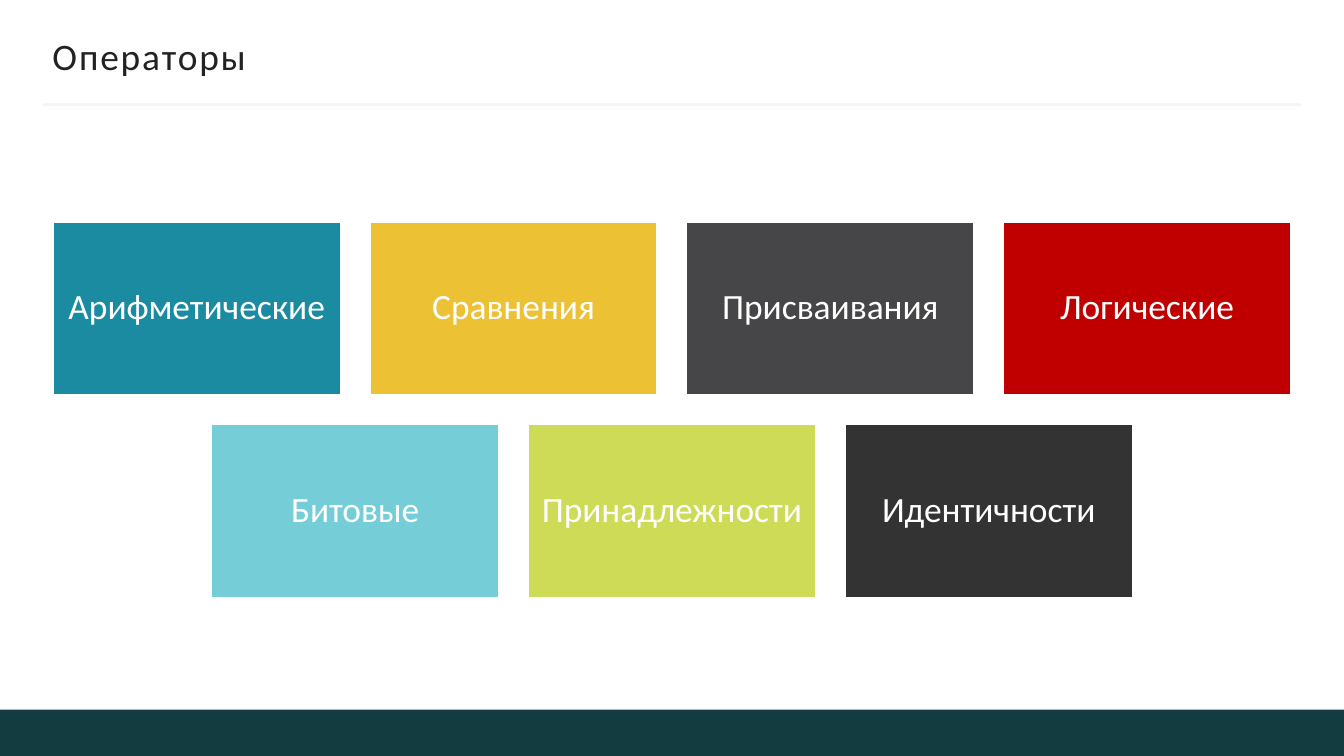
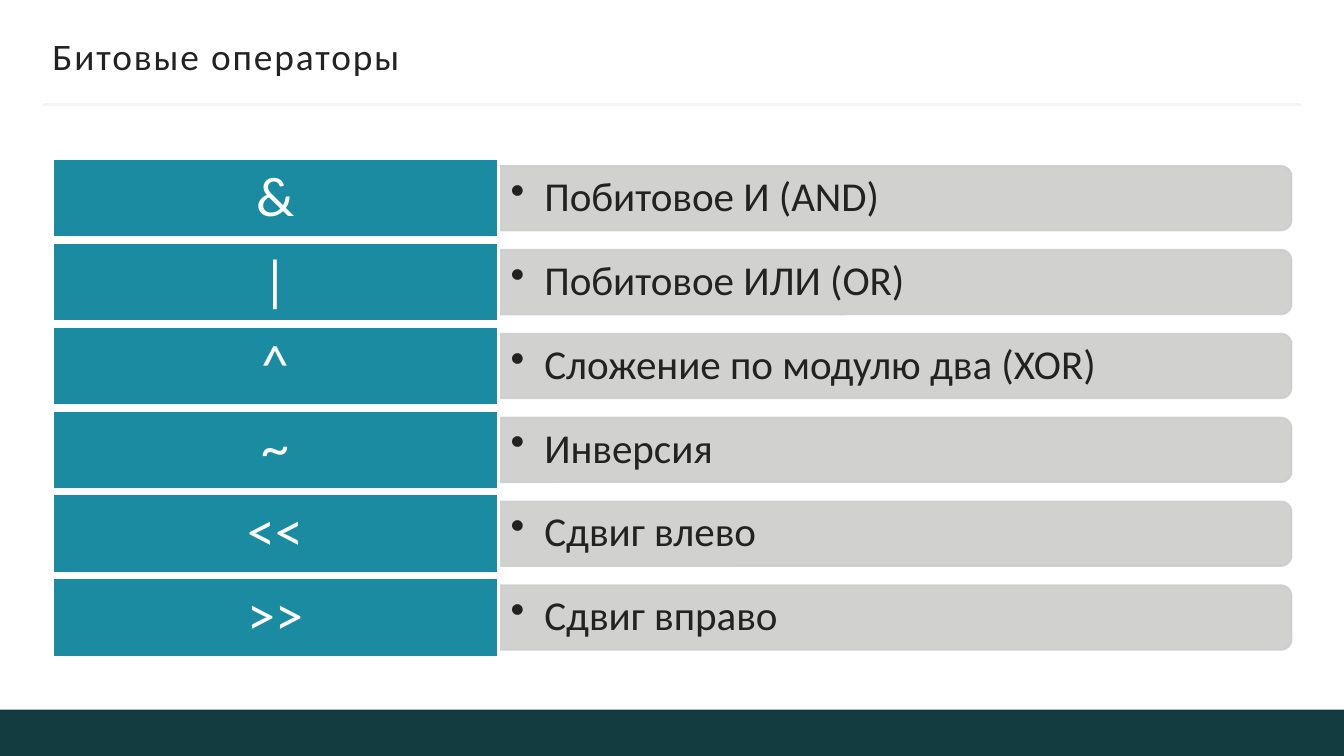
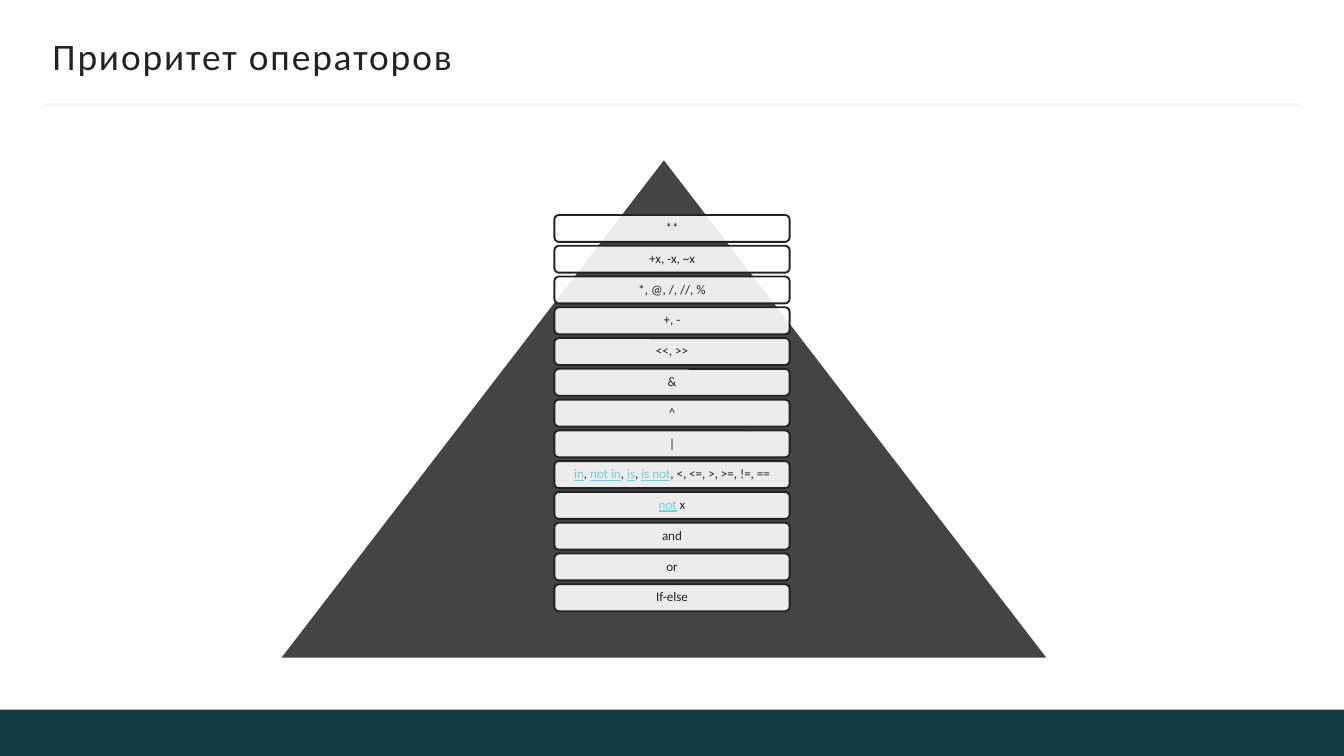
from lxml import etree
from pptx import Presentation
from pptx import util as u
from pptx.dml.color import RGBColor
from pptx.enum import shapes, text
from pptx.oxml import ns

COLORS = {
    "band": "133C41", "rule": "F5F5F5", "ink": "222222", "white": "FFFFFF",
    "teal": "1A8BA0", "yellow": "ECC134", "slate": "464547", "red": "C00000",
    "aqua": "75CDD8", "lime": "CEDB56", "charcoal": "333333",
    "bar": "CDCCCB", "bar_edge": "CDCDCD", "pyramid": "444345", "link": "76CDD8",
}
FONT = "Calibri"
KIND = shapes.MSO_SHAPE
CENTER = text.PP_ALIGN.CENTER

deck = Presentation()
deck.slide_width, deck.slide_height = u.Inches(10), u.Inches(5.625)

# Grid of square cells: 100 columns by 56.25 rows
COLUMNS, ROWS = 100, 56.25
CELL = deck.slide_width / COLUMNS
MARGIN = 3.9
BODY = COLUMNS - 2 * MARGIN


def block(slide, kind, left, top, width, height, fill, edge=None, edge_pt=1, opacity=100):
    shape = slide.shapes.add_shape(kind, *(round(n * CELL) for n in (left, top, width, height)))
    shape.shadow.inherit = False
    shape.fill.solid()
    shape.fill.fore_color.rgb = RGBColor.from_string(COLORS[fill])
    if edge:
        shape.line.color.rgb = RGBColor.from_string(COLORS[edge])
        shape.line.width = u.Pt(edge_pt)
    else:
        shape.line.fill.background()
    if opacity < 100:
        for color in shape._element.spPr.iter(ns.qn("a:srgbClr")):
            # A white or grey see-through fill; dark edges stay solid
            if edge != "ink" or color.get("val") == COLORS[fill]:
                etree.SubElement(color, ns.qn("a:alpha"), val=str(opacity * 1000))
    return shape


def write(shape, parts, size, color, align=None, inset=(0, 0), spacing=0.9):
    frame = shape.text_frame
    frame.word_wrap = True
    frame.vertical_anchor = text.MSO_ANCHOR.MIDDLE
    frame.margin_left = frame.margin_right = u.Inches(inset[0])
    frame.margin_top = frame.margin_bottom = u.Inches(inset[1])
    paragraph = frame.paragraphs[0]
    paragraph.text = parts[0]
    for part in parts[1:]:
        paragraph.add_run().text = part
    paragraph.alignment = align or text.PP_ALIGN.LEFT
    paragraph.line_spacing = spacing
    for run in paragraph.runs:
        run.font.name, run.font.size = FONT, u.Pt(size)
        run.font.color.rgb = RGBColor.from_string(COLORS[color])
    return paragraph


# Shared frame: footer band, rule and title
slides = []
for heading in ("Операторы", "Битовые операторы", "Приоритет операторов"):
    slide = deck.slides.add_slide(deck.slide_layouts[6])
    block(slide, KIND.RECTANGLE, 0, 52.8, COLUMNS, ROWS - 52.8, "band")
    rule = slide.shapes.add_connector(
        shapes.MSO_CONNECTOR.STRAIGHT,
        *(round(n * CELL) for n in (3.2, 7.8, COLUMNS - 3.2, 7.8)))
    rule.line.color.rgb = RGBColor.from_string(COLORS["rule"])
    rule.line.width = u.Pt(1.5)
    etree.SubElement(rule._element.spPr, ns.qn("a:effectLst"))
    title = slide.shapes.add_textbox(*(round(n * CELL) for n in (MARGIN, 2.5, BODY, 3.3)))
    line = write(title, [heading], 20, "ink", inset=(0, 0.05), spacing=1)
    line.runs[0].font._element.set("spc", "100")
    slides.append(slide)
operators, bitwise, priority = slides

# Operator families: centred rows of equal tiles
TILE_W, TILE_H, TILE_GAP = 21.4, 12.9, 2.17
families = [
    [("Арифметические", "teal"), ("Сравнения", "yellow"),
     ("Присваивания", "slate"), ("Логические", "red")],
    [("Битовые", "aqua"), ("Принадлежности", "lime"), ("Идентичности", "charcoal")],
]
for row, tiles in enumerate(families):
    start = (COLUMNS - len(tiles) * (TILE_W + TILE_GAP) + TILE_GAP) / 2
    for column, (family, color) in enumerate(tiles):
        tile = block(operators, KIND.RECTANGLE, start + column * (TILE_W + TILE_GAP),
                     16.5 + row * (TILE_H + TILE_GAP), TILE_W, TILE_H, color, "white")
        write(tile, [family], 19, "white", CENTER, (0.08, 0.08))

# Bitwise operators: a sign and its meaning on each row
SIGN_W, SIGN_H, SIGN_STEP = 33.2, 5.9, 6.24
BAR_W, BAR_H = 59, 4.8
bar_left = MARGIN + SIGN_W
meanings = [("&", "Побитовое И (AND)"), ("|", "Побитовое ИЛИ (OR)"),
            ("^", "Сложение по модулю два (XOR)"), ("~", "Инверсия"),
            ("<<", "Сдвиг влево"), (">>", "Сдвиг вправо")]
for row, (sign, meaning) in enumerate(meanings):
    top = 11.8 + row * SIGN_STEP
    middle = top + SIGN_H / 2
    # Upright shape turned a quarter, so its round corners face right
    bar = block(bitwise, KIND.ROUND_2_SAME_RECTANGLE, bar_left + (BAR_W - BAR_H) / 2,
                middle - BAR_W / 2, BAR_H, BAR_W, "bar", "bar_edge", opacity=90)
    bar.rotation = 90
    label = bitwise.shapes.add_textbox(
        *(round(n * CELL) for n in (bar_left, middle - 2.15, BAR_W - 0.2, 4.3)))
    line = write(label, [meaning], 22, "ink", inset=(0.09, 0.05))
    bullet = line._p.get_or_add_pPr()
    bullet.set("marL", str(u.Inches(0.25)))
    bullet.set("indent", str(-u.Inches(0.25)))
    etree.SubElement(bullet, ns.qn("a:buChar"), char="•")
    key = block(bitwise, KIND.RECTANGLE, MARGIN, top, SIGN_W, SIGN_H, "teal", "white", 1.5)
    write(key, [sign], 30, "white", CENTER, (0.12, 0.06))

# Priority: pyramid with one pill for each level
block(priority, KIND.ISOSCELES_TRIANGLE, 20.8, 11.8, 57.2, 37.2, "pyramid", "white")
PILL_W, PILL_H, PILL_STEP = 17.5, 2, 2.29
linked = {"in", "not in", "is", "is not", "not"}
levels = [
    ["**"], ["+x, -x, ~x"], ["*, @, /, //, %"], ["+, -"], ["<<, >>"], ["&"], ["^"], ["|"],
    ["in", ", ", "not in", ", ", "is", ", ", "is not", ", <, <=, >, >=, !=, =="],
    ["not", " x"], ["and"], ["or"], ["If-else"],
]
for row, parts in enumerate(levels):
    pill = block(priority, KIND.ROUNDED_RECTANGLE, (COLUMNS - PILL_W) / 2,
                 16 + row * PILL_STEP, PILL_W, PILL_H, "white", "ink", opacity=90)
    unbroken = [part.replace(" ", "\u00a0") for part in parts]
    line = write(pill, unbroken, 7, "ink", CENTER, (0.04, 0.04))
    for part, run in zip(parts, line.runs):
        if part in linked:
            run.font.underline = True
            run.font.color.rgb = RGBColor.from_string(COLORS["link"])

deck.save("out.pptx")
